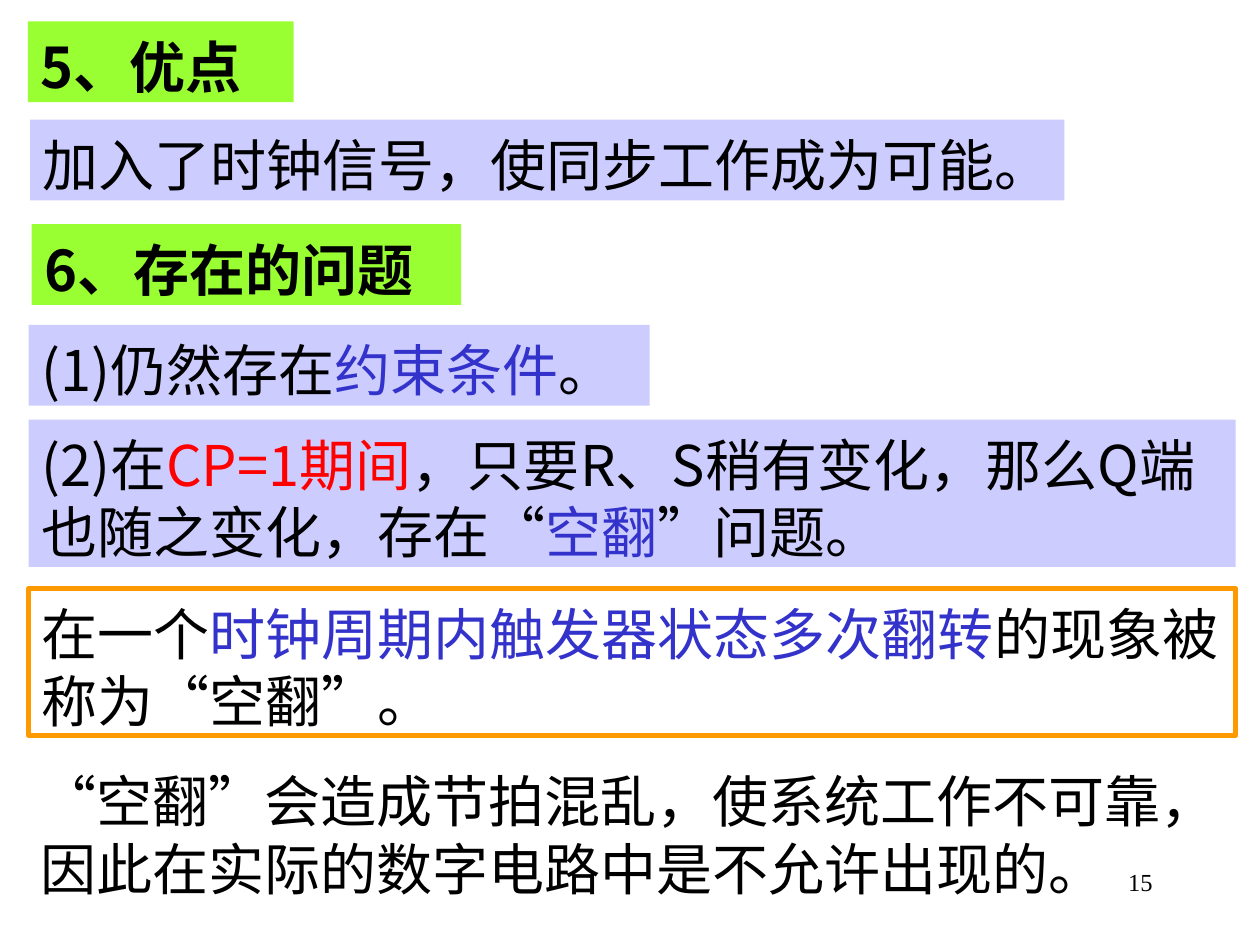
import dataclasses

import pptx
import pptx.dml.color
import pptx.enum.lang
import pptx.enum.text
import pptx.oxml
import pptx.oxml.ns
import pptx.util

Cm = pptx.util.Cm
Pt = pptx.util.Pt
Align = pptx.enum.text.PP_ALIGN

HEX = {
    "black": "000000",
    "red": "FF0000",
    "blue": "3333CC",
    "green": "99FF33",
    "lilac": "CCCCFF",
    "orange": "FF9900",
}
SANS = "Noto Sans CJK SC"
SERIF = "Times New Roman"
ONE, TWO = 1.63, 2.97  # heights of one-line and two-line boxes, cm


@dataclasses.dataclass
class Span:
    text: str
    color: str = "black"


@dataclasses.dataclass
class Box:
    left: float
    top: float
    width: float
    height: float
    spans: list[Span]
    fill: str = ""
    line: str = ""
    bold: bool = False
    size: int = 32
    font: str = SANS
    align: Align = Align.LEFT


HEAD = Box(0.56, 0.43, 5.36, ONE, [Span("5、优点")], "green", bold=True)
BODY = [
    Box(0.61, 2.41, 20.85, ONE,
        [Span("加入了时钟信号，使同步工作成为可能。")], "lilac"),
    Box(0.64, 4.52, 8.66, ONE, [Span("6、存在的问题")], "green", bold=True),
    Box(0.58, 6.55, 12.52, ONE,
        [Span("(1)仍然存在"), Span("约束条件", "blue"), Span("。")], "lilac"),
    Box(0.58, 8.46, 24.33, TWO,
        [Span("(2)在"), Span("CP=1期间", "red"),
         Span("，只要R、S稍有变化，那么Q端也随之变化，存在“"),
         Span("空翻", "blue"), Span("”问题。")], "lilac"),
    Box(0.58, 11.86, 24.33, TWO,
        [Span("在一个"), Span("时钟周期内触发器状态多次翻转", "blue"),
         Span("的现象被称为“空翻”。")], line="orange"),
    Box(0.56, 15.24, 24.33, TWO,
        [Span("“空翻”会造成节拍混乱，使系统工作不可靠，"
              "因此在实际的数字电路中是不允许出现的。")]),
    Box(18.21, 17.35, 5.28, 1.27, [Span("15")],
        size=14, font=SERIF, align=Align.RIGHT),
]


def tint(name: str) -> pptx.dml.color.RGBColor:
    return pptx.dml.color.RGBColor.from_string(HEX[name])


def add_run(para, span: Span, box: Box) -> None:
    run = para.add_run()
    run.text = span.text
    font = run.font
    font.size = Pt(box.size)
    font.bold = box.bold
    font.color.rgb = tint(span.color)
    font.name = box.font
    font.language_id = pptx.enum.lang.MSO_LANGUAGE_ID.SIMPLIFIED_CHINESE
    east = pptx.oxml.parse_xml(
        f'<a:ea {pptx.oxml.ns.nsdecls("a")} typeface="{box.font}"/>')
    font._element.find(pptx.oxml.ns.qn("a:latin")).addnext(east)


def style(shape, box: Box) -> None:
    """Place the shape, colour it and write its text."""
    shape.left, shape.top = Cm(box.left), Cm(box.top)
    shape.width, shape.height = Cm(box.width), Cm(box.height)
    if box.fill:
        shape.fill.solid()
        shape.fill.fore_color.rgb = tint(box.fill)
    if box.line:
        shape.line.color.rgb = tint(box.line)
        shape.line.width = Pt(3)
    frame = shape.text_frame
    frame.word_wrap = True
    frame.auto_size = pptx.enum.text.MSO_AUTO_SIZE.NONE
    frame.vertical_anchor = pptx.enum.text.MSO_ANCHOR.TOP
    para = frame.paragraphs[0]
    para.alignment = box.align
    if box.font == SANS:
        para.line_spacing = Pt(38.4)
        frame.margin_top, frame.margin_bottom = Pt(6.2), Pt(1)
    for span in box.spans:
        add_run(para, span, box)


def main() -> None:
    deck = pptx.Presentation()
    deck.slide_width, deck.slide_height = Cm(25.4), Cm(19.05)
    slide = deck.slides.add_slide(deck.slide_layouts[5])
    style(slide.shapes.title, HEAD)
    for box in BODY:
        style(slide.shapes.add_textbox(0, 0, 0, 0), box)
    deck.save("out.pptx")


if __name__ == "__main__":
    main()
